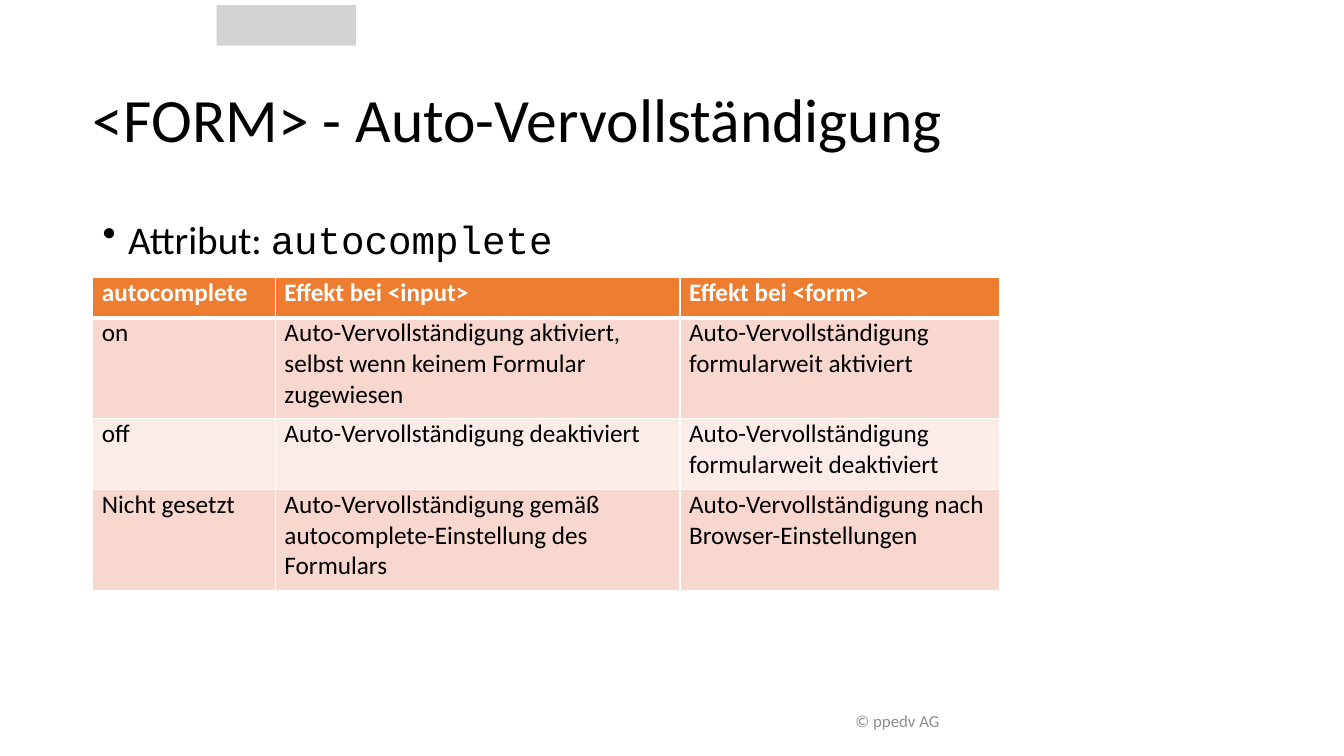
from lxml import etree
from pptx import Presentation
from pptx.dml.color import RGBColor
from pptx.enum.shapes import MSO_SHAPE
from pptx.enum.text import MSO_ANCHOR, PP_ALIGN
from pptx.oxml.ns import qn
from pptx.util import Cm, Pt

RECTANGLE = MSO_SHAPE.RECTANGLE
MIDDLE, TOP = MSO_ANCHOR.MIDDLE, MSO_ANCHOR.TOP
LEFT, RIGHT = PP_ALIGN.LEFT, PP_ALIGN.RIGHT

BLACK = RGBColor(0x00, 0x00, 0x00)
WHITE = RGBColor(0xFF, 0xFF, 0xFF)
ORANGE = RGBColor(0xED, 0x7D, 0x31)
ROSE = RGBColor(0xF8, 0xD7, 0xCE)
PALE_ROSE = RGBColor(0xFC, 0xEC, 0xE8)
LIGHT_GREY = RGBColor(0xD4, 0xD3, 0xD3)
FOOTER_GREY = RGBColor(0x8C, 0x8C, 0x8C)

MARGIN_LEFT = 2.34
CONTENT_WIDTH = 29.21
COLUMN_WIDTHS = (4.6, 10.2, 8.05)
ROW_HEIGHTS = (1.02, 2.54, 1.78, 2.54)
EFFECTS = (
    ("autocomplete", "Effekt bei <input>", "Effekt bei <form>"),
    ("on",
     "Auto-Vervollständigung aktiviert, selbst wenn keinem Formular zugewiesen",
     "Auto-Vervollständigung formularweit aktiviert"),
    ("off",
     "Auto-Vervollständigung deaktiviert",
     "Auto-Vervollständigung formularweit deaktiviert"),
    ("Nicht gesetzt",
     "Auto-Vervollständigung gemäß autocomplete-Einstellung des Formulars",
     "Auto-Vervollständigung nach Browser-Einstellungen"),
)


class SlideBuilder:
    def __init__(self, slide, font="Calibri", code_font="Courier New"):
        self.shapes = slide.shapes
        self.font = font
        self.code_font = code_font

    def style(self, paragraph, size, color=BLACK, bold=False):
        font = paragraph.font
        font.name, font.size, font.bold = self.font, Pt(size), bold
        font.color.rgb = color

    def block(self, left, top, width, height, color):
        block = self.shapes.add_shape(RECTANGLE, Cm(left), Cm(top), Cm(width), Cm(height))
        block.shadow.inherit = False
        block.fill.solid()
        block.fill.fore_color.rgb = color
        block.line.fill.background()

    def text(self, content, top, height, size, width=CONTENT_WIDTH, color=BLACK,
             align=LEFT, anchor=MIDDLE, inset=0.25):
        box = self.shapes.add_textbox(Cm(MARGIN_LEFT), Cm(top), Cm(width), Cm(height))
        frame = box.text_frame
        frame.word_wrap = True
        frame.vertical_anchor = anchor
        frame.margin_left = frame.margin_right = Cm(inset)
        paragraph = frame.paragraphs[0]
        paragraph.text = content
        paragraph.alignment = align
        self.style(paragraph, size, color)
        return paragraph

    def attribute_bullet(self, label, code, top, height, size):
        paragraph = self.text("", top, height, size, anchor=TOP)
        properties = paragraph._p.get_or_add_pPr()
        properties.set("marL", str(Cm(0.64)))
        properties.set("indent", str(-Cm(0.64)))
        bullet = etree.Element(qn("a:buChar"), char="•")
        properties.insert(0, bullet)
        paragraph.line_spacing = 1.5
        paragraph.add_run().text = label
        code_run = paragraph.add_run()
        code_run.text = code
        code_run.font.name = self.code_font

    def borders(self, cell, bottom):
        """Draw white cell edges; bottom is the width of the lower one in points."""
        properties = cell._tc.get_or_add_tcPr()
        edges = (("a:lnL", 1), ("a:lnR", 1), ("a:lnT", 1), ("a:lnB", bottom))
        for position, (edge, width) in enumerate(edges):
            line = etree.Element(qn(edge), w=str(Pt(width)))
            fill = etree.SubElement(line, qn("a:solidFill"))
            etree.SubElement(fill, qn("a:srgbClr"), val=str(WHITE))
            properties.insert(position, line)

    def table(self, rows, top, size):
        table = self.shapes.add_table(
            len(rows), len(COLUMN_WIDTHS), Cm(MARGIN_LEFT), Cm(top),
            Cm(sum(COLUMN_WIDTHS)), Cm(sum(ROW_HEIGHTS))).table
        for column, width in zip(table.columns, COLUMN_WIDTHS):
            column.width = Cm(width)
        for index, (row, height) in enumerate(zip(table.rows, ROW_HEIGHTS)):
            row.height = Cm(height)
            is_header = index == 0
            fill = ORANGE if is_header else ROSE if index % 2 else PALE_ROSE
            for cell, content in zip(row.cells, rows[index]):
                cell.text = content
                cell.margin_left = Cm(0.23)
                cell.margin_right = cell.margin_top = cell.margin_bottom = 0
                cell.fill.solid()
                cell.fill.fore_color.rgb = fill
                # The rule under the header is shared with the row below it.
                self.borders(cell, bottom=3 if is_header else 1)
                if index == 1:
                    cell._tc.tcPr.find(qn("a:lnT")).set("w", str(Pt(3)))
                self.style(cell.text_frame.paragraphs[0], size,
                           WHITE if is_header else BLACK, bold=is_header)


def main():
    presentation = Presentation()
    presentation.slide_width, presentation.slide_height = Cm(33.87), Cm(19.05)
    builder = SlideBuilder(presentation.slides.add_slide(presentation.slide_layouts[6]))
    builder.block(5.46, 0.13, 3.51, 1.02, LIGHT_GREY)
    builder.text("<FORM> - Auto-Vervollständigung", 2.03, 1.88, 44, inset=0)
    builder.attribute_bullet("Attribut: ", "autocomplete", 4.7, 12.47, 28)
    builder.table(EFFECTS, 6.99, 18)
    builder.text("© ppedv AG", 17.65, 1.02, 12, width=21.59,
                 color=FOOTER_GREY, align=RIGHT)
    presentation.save("out.pptx")


if __name__ == "__main__":
    main()
